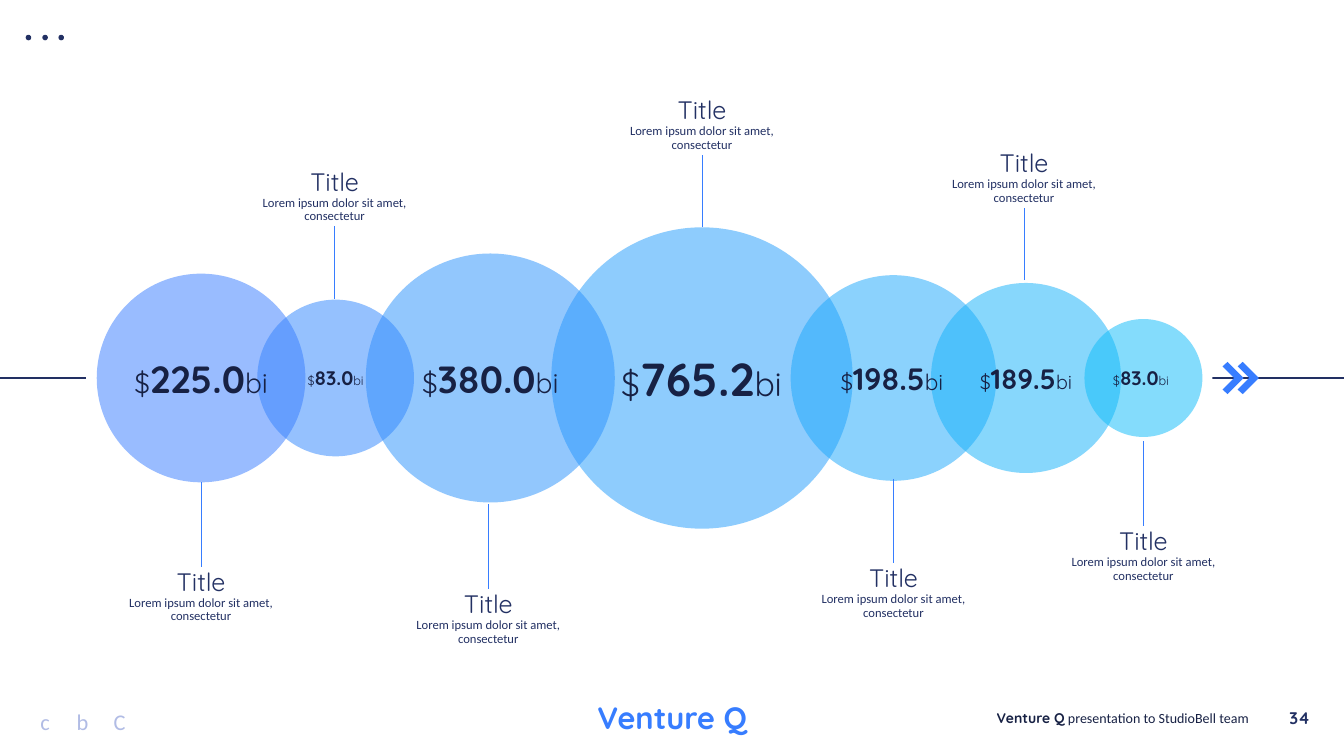
import pptx
import pptx.util
from pptx.dml.color import RGBColor
from pptx.enum.shapes import MSO_CONNECTOR, MSO_SHAPE
from pptx.enum.text import MSO_ANCHOR, PP_ALIGN
from pptx.oxml.ns import qn
from lxml import etree

PX = 9144  # 100 px to the inch
AXIS_Y = 750
NAVY, INK, BLUE, PALE, WHITE = "223063", "172144", "377DFF", "B1BCE5", "FFFFFF"
HEADING, BODY = "Quicksand", "Calibri"
BRAND = "Venture Q"

# centre x, diameter, fill; back to front
BUBBLES = [
    (1393, 598, "239CFC"),
    (973, 494, "2A92FD"),
    (1773, 408, "1CA7FC"),
    (666, 311, "3087FE"),
    (2036, 377, "15B1FB"),
    (399, 414, "377DFF"),
    (2269, 234, "0FBCFA"),
]
# centre x, width, amount, amount size, unit size
AMOUNTS = [
    (399, 303, "225.0", 54, 40),
    (666, 133, "83.0", 28, 18),
    (973, 292, "380.0", 54, 40),
    (1392, 350, "765.2", 66, 48),
    (1770, 240, "198.5", 44, 32),
    (2036, 218, "189.5", 40, 28),
    (2264, 133, "83.0", 28, 18),
]
# x, y where the leader meets the bubble
CALLOUTS = [(399, 957), (969, 1001), (1393, 451), (1773, 950),
            (2269, 876), (664, 593), (2032, 556)]


def px(value):
    return pptx.util.Emu(round(value * PX))


def color(value):
    return RGBColor.from_string(value)


def paint(shape, fill, opacity=None):
    shape.shadow.inherit = False
    shape.fill.solid()
    shape.fill.fore_color.rgb = color(fill)
    shape.line.fill.background()
    if opacity is not None:
        source = shape._element.spPr.find(qn("a:solidFill"))[0]
        etree.SubElement(source, qn("a:alpha"), val=str(opacity * 1000))


def add_block(slide, kind, left, top, width, height, fill, opacity=None):
    shape = slide.shapes.add_shape(kind, px(left), px(top), px(width), px(height))
    paint(shape, fill, opacity)


def add_line(slide, start, end, line_color, weight):
    line = slide.shapes.add_connector(MSO_CONNECTOR.STRAIGHT, *map(px, start + end))
    line.line.color.rgb = color(line_color)
    line.line.width = pptx.util.Pt(weight)
    etree.SubElement(line._element.spPr, qn("a:effectLst"))


def add_frame(slide, left, top, width, height, wrap=False, anchor=MSO_ANCHOR.MIDDLE):
    box = slide.shapes.add_textbox(px(left), px(top), px(width), px(height))
    frame = box.text_frame
    frame.word_wrap = wrap
    frame.vertical_anchor = anchor
    return frame


def style(paragraph, font_name, font_color, size=None, bold=None, align=PP_ALIGN.CENTER):
    paragraph.alignment = align
    font = paragraph.font
    font.name = font_name
    font.color.rgb = color(font_color)
    font.bold = bold
    if size:
        font.size = pptx.util.Pt(size)


def add_run(paragraph, text, size, bold):
    run = paragraph.add_run()
    run.text = text
    run.font.size = pptx.util.Pt(size)
    run.font.bold = bold
    return run


def add_amount(slide, center, width, amount, size, unit_size):
    height = size / 72 * 121 + 10
    frame = add_frame(slide, center - width / 2, AXIS_Y - height / 2, width, height)
    paragraph = frame.paragraphs[0]
    style(paragraph, HEADING, INK)
    add_run(paragraph, "$", unit_size, False)
    add_run(paragraph, amount, size, True)
    add_run(paragraph, "bi", unit_size, False)


def add_callout(slide, x, y):
    """Leader and text, above the axis or below it as the bubble's edge is."""
    width, height = 415, 118
    above = y < AXIS_Y
    leader_end = y - 144 if above else y + 168
    top = leader_end - height if above else leader_end
    frame = add_frame(slide, x - width / 2, top, width, height, wrap=True)
    title, detail = frame.paragraphs[0], frame.add_paragraph()
    title.text = "Title"
    detail.text = "Lorem ipsum dolor sit amet, consectetur"
    style(title, HEADING, NAVY, 36)
    style(detail, BODY, NAVY, 18)
    for paragraph in frame.paragraphs:
        paragraph.line_spacing = 0.89
    add_line(slide, (x, y), (x, leader_end), BLUE, 0.5)


def add_chevrons(slide):
    outline = [(0, 55), (23, 32), (0, 9), (10, 0), (42, 32), (10, 64)]
    builder = None
    for left in (2426, 2456):
        points = [(left + x, AXIS_Y - 32 + y) for x, y in outline]
        if builder is None:
            builder = slide.shapes.build_freeform(*points[0], scale=PX)
        else:
            builder.move_to(*points[0])
        builder.add_line_segments(points[1:], close=True)
    paint(builder.convert_to_shape(), BLUE)


def add_label(slide, text, left, top, width, height, font_name, font_color, size,
              bold=False, **frame_options):
    paragraph = add_frame(slide, left, top, width, height, **frame_options).paragraphs[0]
    paragraph.text = text
    style(paragraph, font_name, font_color, size, bold)


def add_page_furniture(slide):
    frame = add_frame(slide, 1968, 1403, 528, 44)
    footer = frame.paragraphs[0]
    style(footer, BODY, INK, align=PP_ALIGN.LEFT)
    add_run(footer, BRAND, 20, True).font.name = HEADING
    add_run(footer, " presentation to StudioBell team", 20, False)

    add_label(slide, "34", 2539, 1393, 80, 64, HEADING, NAVY, 24, True)
    add_label(slide, BRAND, 1094, 1382, 480, 84, HEADING, BLUE, 44, True,
              wrap=True, anchor=MSO_ANCHOR.TOP)
    for index, letter in enumerate("cbC"):
        add_label(slide, letter, 57 + 74 * index, 1399, 65, 64, BODY, PALE, 32)
    for left in (51, 84, 116):
        add_block(slide, MSO_SHAPE.OVAL, left, 69, 11, 11, NAVY)


def main():
    presentation = pptx.Presentation()
    presentation.slide_width, presentation.slide_height = px(2667), px(1500)
    slide = presentation.slides.add_slide(presentation.slide_layouts[6])

    add_page_furniture(slide)
    add_line(slide, (0, AXIS_Y), (2667, AXIS_Y), NAVY, 2)
    add_block(slide, MSO_SHAPE.RECTANGLE, 171, 709, 2235, 82, WHITE)
    for center, diameter, fill in BUBBLES:
        add_block(slide, MSO_SHAPE.OVAL, center - diameter / 2, AXIS_Y - diameter / 2,
                  diameter, diameter, fill, opacity=51)
    add_chevrons(slide)
    for amount in AMOUNTS:
        add_amount(slide, *amount)
    for callout in CALLOUTS:
        add_callout(slide, *callout)

    presentation.save("out.pptx")


if __name__ == "__main__":
    main()
